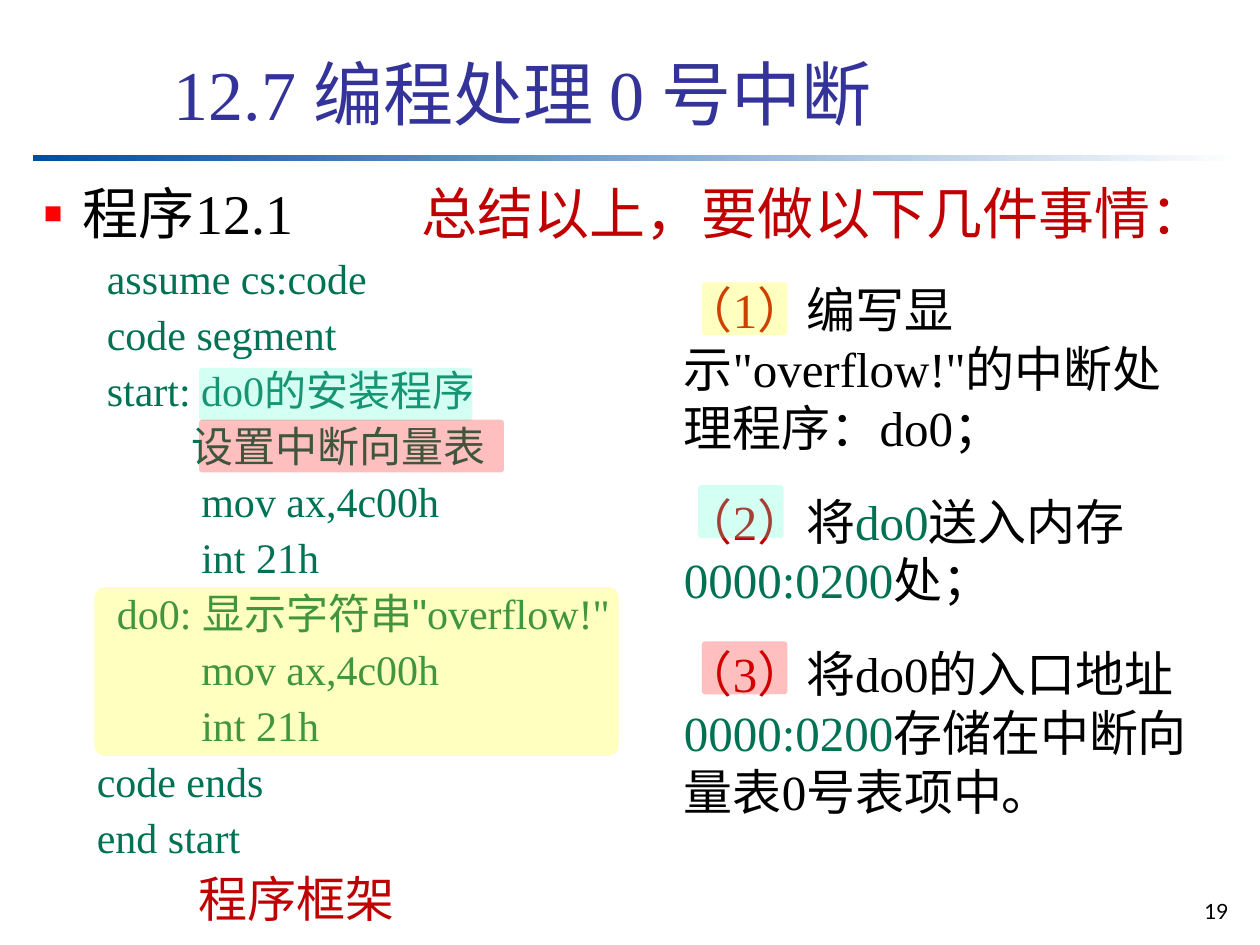
"""Build the slide on handling interrupt 0, with a program outline and its three tasks."""
import dataclasses
import typing

import lxml.etree
import pptx
import pptx.dml.color
import pptx.enum.shapes
import pptx.enum.text
import pptx.oxml.ns
import pptx.util

Inches = pptx.util.Inches
RGB = pptx.dml.color.RGBColor
Align = pptx.enum.text.PP_ALIGN


@dataclasses.dataclass(frozen=True)
class Theme:
    serif: str = "Times New Roman"
    sans: str = "Arial"
    number_font: str = "Lato"
    title: str = "333399"
    ink: str = "000000"
    code: str = "007254"
    accent: str = "C00000"
    bullet: str = "FF0000"
    rule_start: str = "004EA2"
    rule_end: str = "FFFFFF"
    install: str = "56FFD2"
    vector: str = "FF0000"
    handler: str = "FFFF00"
    title_size: int = 40
    heading_size: int = 32
    task_size: int = 28
    code_size: int = 24
    number_size: int = 12


THEME = Theme()


class Box(typing.NamedTuple):
    left: float
    top: float
    width: float
    height: float

    def lengths(self) -> list:
        return [Inches(value) for value in self]


class Span(typing.NamedTuple):
    text: str
    color: str = THEME.ink
    font: str = THEME.serif


@dataclasses.dataclass(frozen=True)
class Line:
    spans: list[Span]
    size: int
    indent: float = 0
    hanging: float = 0
    before: int = 0
    spacing: float = 1.0
    align: Align = Align.LEFT


class Highlight(typing.NamedTuple):
    box: Box
    color: str


def write_line(paragraph, line: Line) -> None:
    paragraph.alignment = line.align
    paragraph.line_spacing = line.spacing
    paragraph.space_before = pptx.util.Pt(line.before)
    properties = paragraph._p.get_or_add_pPr()
    properties.set("marL", str(Inches(line.indent)))
    properties.set("indent", str(-Inches(line.hanging)))
    for span in line.spans:
        run = paragraph.add_run()
        run.text = span.text
        run.font.size = pptx.util.Pt(line.size)
        run.font.name = span.font
        run.font.color.rgb = RGB.from_string(span.color)


def add_text(slide, box: Box, lines: list[Line]):
    frame = slide.shapes.add_textbox(*box.lengths()).text_frame
    frame.word_wrap = True
    for index, line in enumerate(lines):
        write_line(frame.add_paragraph() if index else frame.paragraphs[0], line)
    return frame


def add_child(parent, tag: str, **attributes: str):
    child = lxml.etree.SubElement(parent, pptx.oxml.ns.qn(tag))
    for key, value in attributes.items():
        child.set(key, value)
    return child


def add_bullet_and_tab(paragraph, stop: float) -> None:
    properties = paragraph._p.get_or_add_pPr()
    add_child(add_child(properties, "a:buClr"), "a:srgbClr", val=THEME.bullet)
    add_child(properties, "a:buSzPct", val="55000")
    add_child(properties, "a:buFont", typeface=THEME.sans)
    add_child(properties, "a:buChar", char="■")
    add_child(add_child(properties, "a:tabLst"), "a:tab", pos=str(Inches(stop)), algn="l")


def add_highlight(slide, highlight: Highlight) -> None:
    band = slide.shapes.add_shape(
        pptx.enum.shapes.MSO_SHAPE.ROUNDED_RECTANGLE, *highlight.box.lengths())
    band.adjustments[0] = 0.065
    band.shadow.inherit = False
    band.line.fill.background()
    band.fill.solid()
    band.fill.fore_color.rgb = RGB.from_string(highlight.color)
    color = band._element.spPr.find(".//" + pptx.oxml.ns.qn("a:srgbClr"))
    add_child(color, "a:alpha", val="25000")


def add_rule(slide, box: Box) -> None:
    rule = slide.shapes.add_shape(pptx.enum.shapes.MSO_SHAPE.RECTANGLE, *box.lengths())
    rule.shadow.inherit = False
    rule.line.fill.background()
    rule.fill.gradient()
    rule.fill.gradient_angle = 0
    for stop, color in zip(rule.fill.gradient_stops, (THEME.rule_start, THEME.rule_end)):
        stop.color.rgb = RGB.from_string(color)


def set_title(slide, box: Box, text: str) -> None:
    title = slide.shapes.title
    title.left, title.top, title.width, title.height = box.lengths()
    title.text_frame.auto_size = pptx.enum.text.MSO_AUTO_SIZE.NONE
    title.text_frame.vertical_anchor = pptx.enum.text.MSO_ANCHOR.BOTTOM
    write_line(title.text_frame.paragraphs[0],
               Line([Span(text, THEME.title)], THEME.title_size))


def code_line(indent: float, *spans: Span) -> Line:
    return Line(list(spans), THEME.code_size, indent, before=6, spacing=0.9)


def main() -> None:
    deck = pptx.Presentation()
    deck.slide_width, deck.slide_height = Inches(10), Inches(7.5)
    slide = deck.slides.add_slide(deck.slide_layouts[5])

    add_rule(slide, Box(0.26, 1.23, 9.6, 0.05))
    add_text(slide, Box(9.18, 7.08, 0.67, 0.33), [
        Line([Span("19", font=THEME.number_font)], THEME.number_size, align=Align.RIGHT)])

    label, body = 0.08, 0.83
    program = [
        (label, "assume cs:code"), (label, "code segment"),
        (label, "start: do0的安装程序"), (0.75, "设置中断向量表"),
        (body, "mov ax,4c00h"), (body, "int 21h"),
        (2 * label, "do0: 显示字符串"),
        (body, "mov ax,4c00h"), (body, "int 21h"),
        (0, "code ends"), (0, "end start"),
    ]
    quoted = [Span('"', THEME.code, THEME.sans), Span('overflow!"', THEME.code)]
    add_text(slide, Box(0.67, 2, 5.17, 5.25), [
        code_line(indent, Span(text, THEME.code),
                  *(quoted if text.startswith("do0:") else []))
        for indent, text in program])

    set_title(slide, Box(1.28, 0.18, 8.52, 0.94), "12.7 编程处理 0 号中断")
    add_text(slide, Box(1.48, 6.84, 2.04, 0.57), [
        Line([Span("程序框架", THEME.accent)], THEME.task_size)])

    heading = add_text(slide, Box(0.25, 1.43, 9.55, 0.58), [
        Line([Span("程序12.1 \t"), Span("总结以上，要做以下几件事情：", THEME.accent)],
             THEME.heading_size, indent=0.31, hanging=0.31, spacing=0.9)])
    add_bullet_and_tab(heading.paragraphs[0], 3)

    address = Span("0000:0200", THEME.code)
    tasks = [
        [Span('编写显示"overflow!"的中断处理程序：do0；')],
        [Span("将"), Span("do0", THEME.code), Span("送入内存"), address, Span("处；")],
        [Span("将do0的入口地址"), address, Span("存储在中断向量表0号表项中。")],
    ]
    add_text(slide, Box(5.33, 2.17, 4.25, 4.39), [
        Line([Span(f"（{number}）", THEME.accent), *spans], THEME.task_size, before=20)
        for number, spans in enumerate(tasks, 1)])

    for highlight in (
        Highlight(Box(1.58, 2.92, 2.17, 0.42), THEME.install),
        Highlight(Box(1.58, 3.33, 2.42, 0.42), THEME.vector),
        Highlight(Box(5.54, 3.85, 0.68, 0.42), THEME.install),
        Highlight(Box(5.57, 5.09, 0.68, 0.42), THEME.vector),
        Highlight(Box(0.75, 4.66, 4.16, 1.34), THEME.handler),
        Highlight(Box(5.57, 2.24, 0.68, 0.42), THEME.handler),
    ):
        add_highlight(slide, highlight)

    deck.save("out.pptx")


if __name__ == "__main__":
    main()
